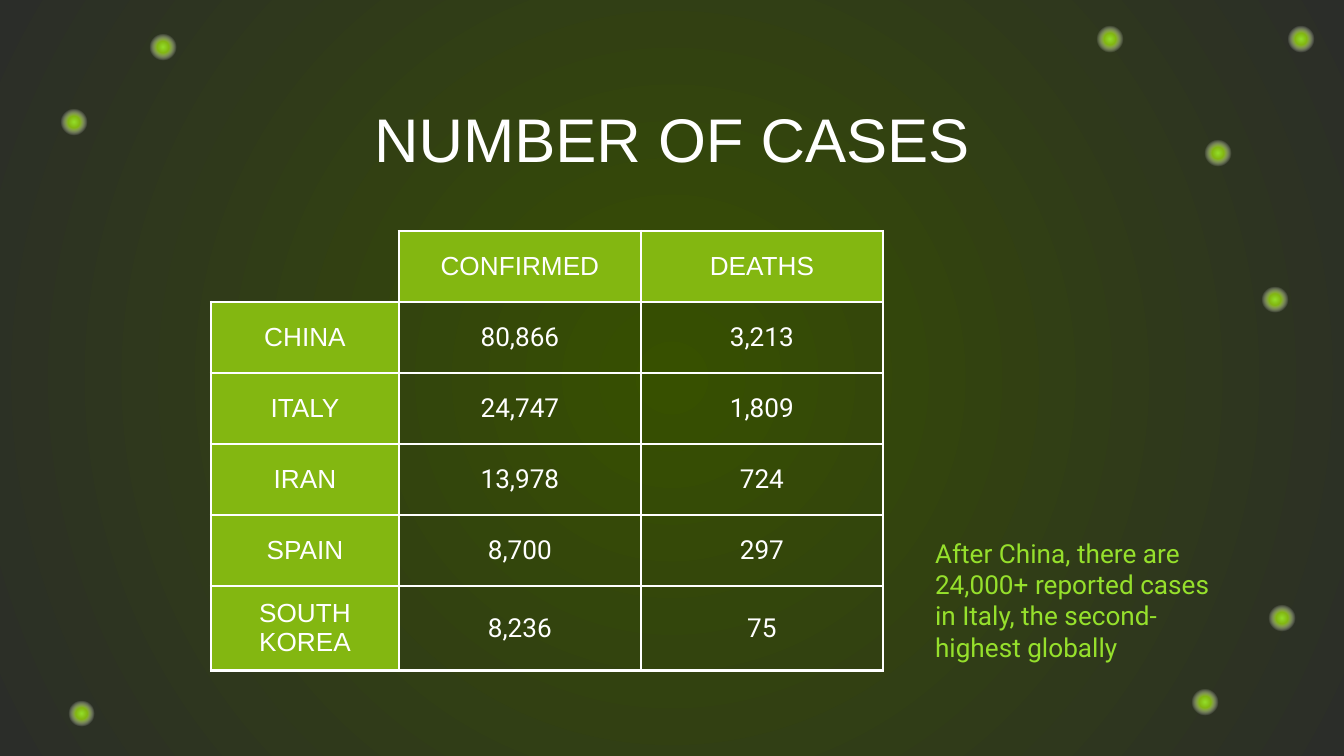
from lxml import etree
from pptx import Presentation
from pptx import util as u
from pptx.dml.color import RGBColor
from pptx.enum import shapes, text
from pptx.oxml.ns import qn

PX = 914400 / 134.4
WHITE = RGBColor(0xFF, 0xFF, 0xFF)
GREEN = RGBColor(0x83, 0xB7, 0x11)
LIME = RGBColor(0x96, 0xE0, 0x2C)
MOSS = RGBColor(0x37, 0x50, 0x00)
COAL = RGBColor(0x2B, 0x2D, 0x29)

# Stops: position in %, colour, opacity in %
GLOW = [(0, LIME, 100), (25, GREEN, 100), (57, WHITE, 0), (100, WHITE, 0)]
NIGHT = [(0, MOSS, 100), (100, COAL, 100)]

DOT = 32
DOTS = [(1301, 39), (1275, 300), (1282, 618), (1205, 702), (1110, 39),
        (1218, 153), (74, 122), (163, 47), (82, 714)]

COLS = [188, 242, 242]
ROW = 71
CASES = [
    ("", "CONFIRMED", "DEATHS"),
    ("CHINA", "80,866", "3,213"),
    ("ITALY", "24,747", "1,809"),
    ("IRAN", "13,978", "724"),
    ("SPAIN", "8,700", "297"),
    ("SOUTH KOREA", "8,236", "75"),
]


def px(n):
    return u.Emu(round(n * PX))


def write(frame, words, font="Arial", size=14, color=WHITE,
          align=text.PP_ALIGN.CENTER, after=0):
    para = frame.paragraphs[0]
    para.alignment = align
    para.line_spacing = 1.0
    para.space_before = u.Pt(0)
    para.space_after = u.Pt(after)
    run = para.add_run()
    run.text = words
    run.font.name = font
    run.font.size = u.Pt(size)
    run.font.bold = False
    run.font.color.rgb = color


def inset(box, side, top, base):
    box.margin_left = box.margin_right = px(side)
    box.margin_top, box.margin_bottom = px(top), px(base)


def radial(fill, owner, stops):
    """Give the fill a round gradient that spreads from the centre."""
    fill.gradient()
    grad = next(owner.iter(qn("a:gradFill")))
    for part in list(grad):
        grad.remove(part)
    row = etree.SubElement(grad, qn("a:gsLst"))
    for pos, color, alpha in stops:
        stop = etree.SubElement(row, qn("a:gs"), pos=str(pos * 1000))
        tone = etree.SubElement(stop, qn("a:srgbClr"), val=str(color))
        if alpha < 100:
            etree.SubElement(tone, qn("a:alpha"), val=str(alpha * 1000))
    way = etree.SubElement(grad, qn("a:path"), path="circle")
    etree.SubElement(way, qn("a:fillToRect"),
                     dict.fromkeys("ltrb", "50000"))


def add_dot(slide, x, y):
    dot = slide.shapes.add_shape(shapes.MSO_SHAPE.OVAL, px(x - DOT / 2),
                                 px(y - DOT / 2), px(DOT), px(DOT))
    dot.shadow.inherit = False
    dot.line.fill.background()
    radial(dot.fill, dot._element, GLOW)


def set_holder(holder, left, top, width, height, pad):
    holder.left, holder.top = px(left), px(top)
    holder.width, holder.height = px(width), px(height)
    frame = holder.text_frame
    frame.word_wrap = True
    frame.auto_size = text.MSO_AUTO_SIZE.NONE
    frame.vertical_anchor = text.MSO_ANCHOR.TOP
    inset(frame, 13, pad, 0)
    return frame


def edge(cell, sides):
    """Draw white borders on the given sides and none on the others."""
    props = cell._tc.get_or_add_tcPr()
    for side in "LRTB":
        line = etree.SubElement(props, qn("a:ln" + side), w=str(u.Pt(1.5)))
        if side in sides:
            solid = etree.SubElement(line, qn("a:solidFill"))
            etree.SubElement(solid, qn("a:srgbClr"), val=str(WHITE))
        else:
            etree.SubElement(line, qn("a:noFill"))


def add_cases(slide):
    table = slide.shapes.add_table(len(CASES), len(COLS), px(211), px(231),
                                   px(sum(COLS)), px(ROW * len(CASES))).table
    table.first_row = table.horz_banding = False
    for col, width in zip(table.columns, COLS):
        col.width = px(width)
    for r, row in enumerate(CASES):
        for c, words in enumerate(row):
            cell = table.cell(r, c)
            edge(cell, "LRTB" if words else "RB")
            cell.vertical_anchor = text.MSO_ANCHOR.MIDDLE
            inset(cell, 13 if c else 27, 13, 13)
            head = r == 0 or c == 0
            if head and words:
                cell.fill.solid()
                cell.fill.fore_color.rgb = GREEN
            else:
                cell.fill.background()
            if words:
                write(cell.text_frame, words, font="Arial" if head else "Roboto")


def main():
    deck = Presentation()
    deck.slide_width, deck.slide_height = px(1344), px(756)
    slide = deck.slides.add_slide(deck.slide_layouts[0])

    # Background and glowing dots
    radial(slide.background.fill, slide._element, NIGHT)
    for x, y in DOTS:
        add_dot(slide, x, y)

    # Title
    title = set_holder(slide.shapes.title, 105, 81, 1134, 85, pad=20)
    write(title, "NUMBER OF CASES", size=33)

    # Table of cases
    add_cases(slide)

    # Side note
    note = set_holder(slide.placeholders[1], 922, 524, 308, 152, pad=13)
    write(note, "After China, there are 24,000+ reported cases in Italy, "
          "the second- highest globally", font="Roboto", color=LIME,
          align=text.PP_ALIGN.LEFT, after=16)

    deck.save("out.pptx")


if __name__ == "__main__":
    main()
